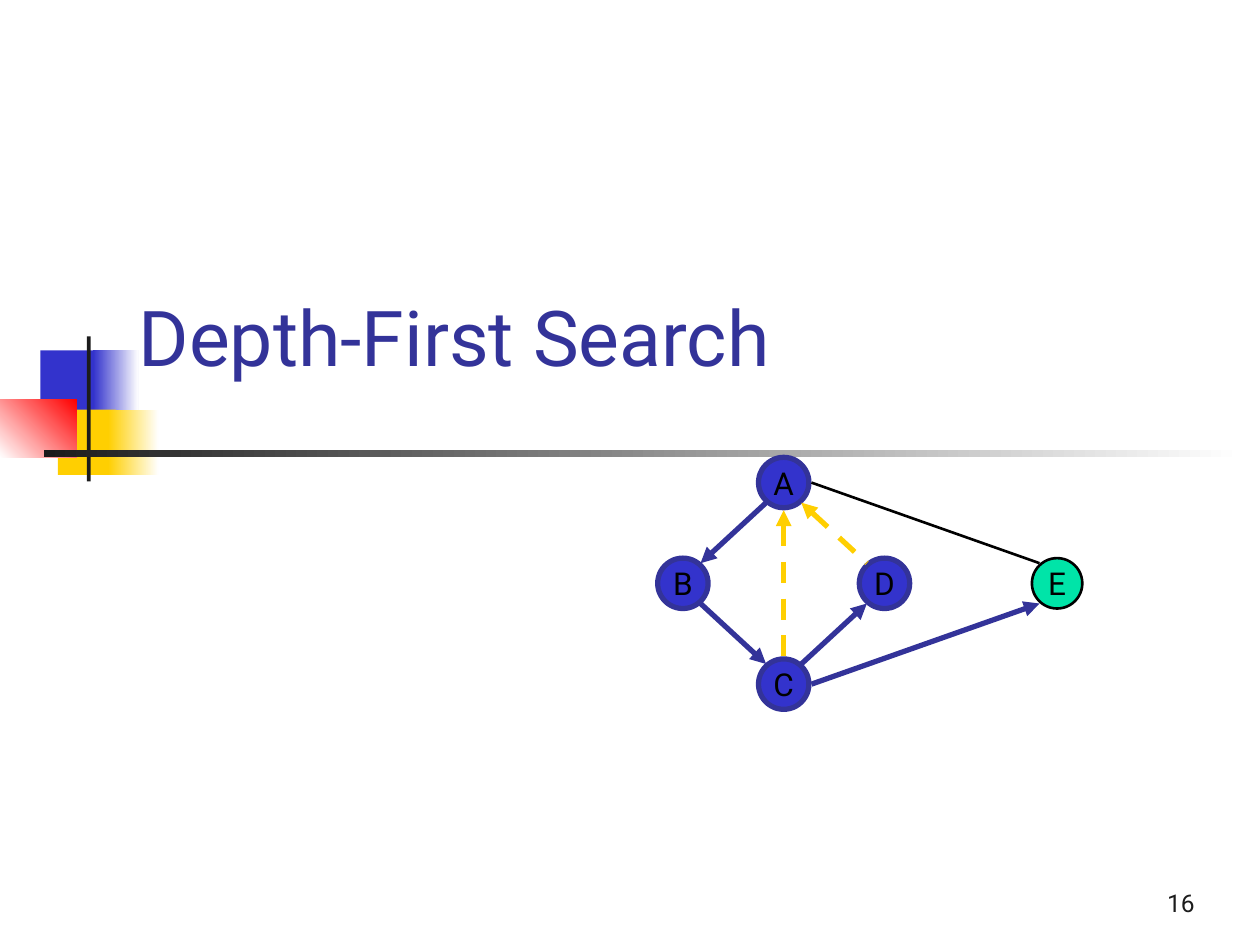
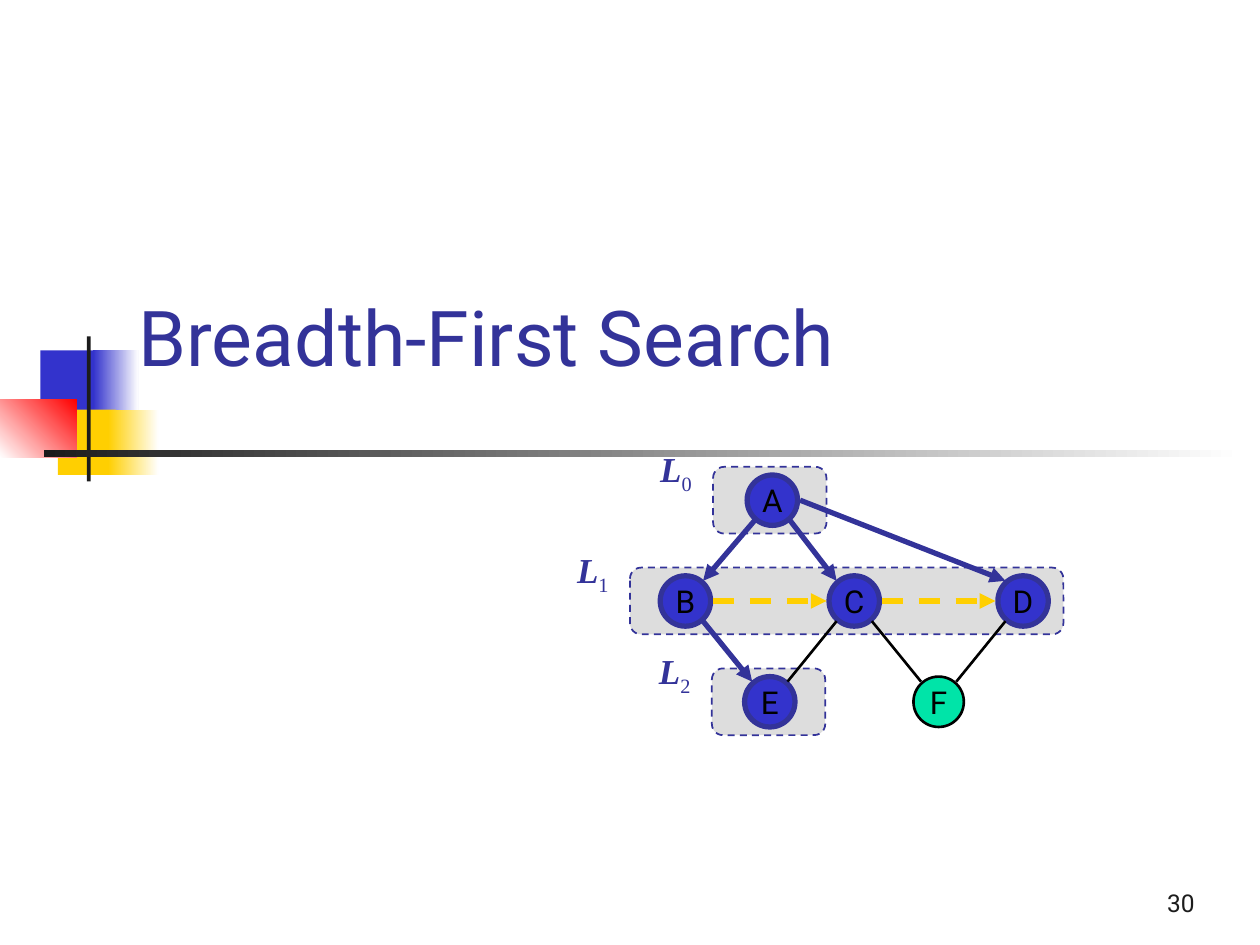
from lxml import etree
from pptx import Presentation
from pptx.dml.color import RGBColor
from pptx.enum import dml, shapes, text
from pptx.oxml import ns
from pptx.util import Inches, Pt

COLORS = {
    "blue": "3333CC", "navy": "333399", "yellow": "FFCF01", "red": "FF0000",
    "white": "FFFFFF", "ink": "1C1C1C", "black": "000000", "green": "00E4A8",
    "gray": "DDDDDD",
}
BODY_FONT = "Roboto"
MATH_FONT = "Times New Roman"

NODE_SIZE = 0.4
ROW_STEP = 0.8
BAND_HEIGHT = 0.53
SITES = {
    "n": (0, -0.22), "e": (0.22, 0), "s": (0, 0.22), "w": (-0.22, 0),
    "nw": (-0.14, -0.16), "ne": (0.14, -0.16),
    "sw": (-0.14, 0.16), "se": (0.14, 0.16),
}
EDGE_STYLES = {
    "discovery": ("navy", 3, False, "tailEnd"),
    "cross": ("yellow", 3, True, "tailEnd"),
    "back": ("yellow", 3, True, "headEnd"),
    "unexplored": ("black", 1.5, False, None),
}


def rgb(name):
    return RGBColor.from_string(COLORS[name])


def set_line(line, color, width, dashed=False):
    line.color.rgb = rgb(color)
    line.width = Pt(width)
    if dashed:
        line.dash_style = dml.MSO_LINE.DASH


def add_run(paragraph, words, size, color, font=BODY_FONT):
    run = paragraph.add_run()
    run.text = words
    run.font.size = Pt(size)
    run.font.name = font
    run.font.color.rgb = rgb(color)
    return run


def add_filled_shape(slide, kind, left, top, width, height, color):
    shape = slide.shapes.add_shape(
        kind, Inches(left), Inches(top), Inches(width), Inches(height))
    shape.shadow.inherit = False
    shape.fill.solid()
    shape.fill.fore_color.rgb = rgb(color)
    shape.line.fill.background()
    return shape


def add_block(slide, left, top, width, height, color, end_color=None, angle=0):
    shape = add_filled_shape(
        slide, shapes.MSO_SHAPE.RECTANGLE, left, top, width, height, color)
    if end_color:
        shape.fill.gradient()
        shape.fill.gradient_angle = angle
        for stop, name in zip(shape.fill.gradient_stops, (color, end_color)):
            stop.color.rgb = rgb(name)


def add_ornament(slide, left, top):
    add_block(slide, left + 0.32, top + 0.11, 0.48, 0.52, "blue")
    add_block(slide, left + 0.74, top + 0.11, 0.36, 0.52, "blue", "white")
    add_block(slide, left + 0.46, top + 0.58, 0.46, 0.52, "yellow")
    add_block(slide, left + 0.86, top + 0.58, 0.4, 0.52, "yellow", "white")
    add_block(slide, left, top + 0.5, 0.61, 0.46, "white", "red", 45)
    add_block(slide, left + 0.69, top, 0.03, 1.15, "ink")
    add_block(slide, left + 0.35, top + 0.9, 9.51, 0.06, "ink", "white")


def add_text_box(slide, left, top, width, height, alignment):
    box = slide.shapes.add_textbox(
        Inches(left), Inches(top), Inches(width), Inches(height))
    box.text_frame.word_wrap = True
    paragraph = box.text_frame.paragraphs[0]
    paragraph.alignment = alignment
    return box.text_frame, paragraph


def add_section_slide(presentation, title, number):
    slide = presentation.slides.add_slide(presentation.slide_layouts[5])
    add_ornament(slide, 0, 2.67)
    heading = slide.shapes.title
    heading.left, heading.top = Inches(1), Inches(1.83)
    heading.width, heading.height = Inches(8.5), Inches(1.25)
    frame = heading.text_frame
    frame.vertical_anchor = text.MSO_ANCHOR.BOTTOM
    frame.auto_size = text.MSO_AUTO_SIZE.NONE
    frame.paragraphs[0].alignment = text.PP_ALIGN.LEFT
    add_run(frame.paragraphs[0], title, 44, "navy")
    frame, paragraph = add_text_box(
        slide, 7.5, 6.83, 2.08, 0.5, text.PP_ALIGN.RIGHT)
    frame.vertical_anchor = text.MSO_ANCHOR.BOTTOM
    add_run(paragraph, str(number), 14, "ink")
    return slide


def add_node(slide, x, y, name, visited):
    shape = add_filled_shape(
        slide, shapes.MSO_SHAPE.OVAL, x - NODE_SIZE / 2, y - NODE_SIZE / 2,
        NODE_SIZE, NODE_SIZE, "blue" if visited else "green")
    if visited:
        set_line(shape.line, "navy", 3)
    else:
        set_line(shape.line, "black", 1.5)
    frame = shape.text_frame
    frame.word_wrap = False
    frame.vertical_anchor = text.MSO_ANCHOR.MIDDLE
    frame.paragraphs[0].alignment = text.PP_ALIGN.CENTER
    add_run(frame.paragraphs[0], name, 18, "black")


def add_edge(slide, start, end, style):
    color, width, dashed, arrow = EDGE_STYLES[style]
    connector = slide.shapes.add_connector(
        shapes.MSO_CONNECTOR.STRAIGHT,
        *(Inches(value) for value in (*start, *end)))
    set_line(connector.line, color, width, dashed)
    properties = connector._element.spPr
    if arrow:
        outline = properties.find(ns.qn("a:ln"))
        etree.SubElement(outline, ns.qn(f"a:{arrow}"), type="triangle")
    etree.SubElement(properties, ns.qn("a:effectLst"))


def add_graph(slide, left, top, nodes, edges, unvisited):
    centers = {name: (left + x, top + row * ROW_STEP)
               for name, (x, row) in nodes.items()}
    for name, (x, y) in centers.items():
        add_node(slide, x, y, name, name not in unvisited)
    for route, style in edges:
        start, end = (
            tuple(center + shift
                  for center, shift in zip(centers[name], SITES[site]))
            for name, site in (stop.split(".") for stop in route.split()))
        add_edge(slide, start, end, style)


def add_levels(slide, left, top, bands):
    for level, (offset, width) in enumerate(bands):
        band_left = left + offset
        band_top = top + level * ROW_STEP - BAND_HEIGHT / 2
        band = add_filled_shape(
            slide, shapes.MSO_SHAPE.ROUNDED_RECTANGLE, band_left, band_top,
            width, BAND_HEIGHT, "gray")
        set_line(band.line, "navy", 1, True)
        paragraph = add_text_box(
            slide, band_left - 0.55, band_top - 0.2, 0.51, 0.48,
            text.PP_ALIGN.CENTER)[1]
        letter = add_run(paragraph, "L", 20, "navy", MATH_FONT)
        letter.font.bold = letter.font.italic = True
        index = add_run(paragraph, str(level), 20, "navy", MATH_FONT)
        index._r.get_or_add_rPr().set("baseline", "-25000")


def add_depth_first_slide(presentation):
    slide = add_section_slide(presentation, "Depth-First Search", 16)
    nodes = {"A": (1, 0), "B": (0.2, 1), "C": (1, 2), "D": (1.8, 1),
             "E": (3.17, 1)}
    edges = [
        ("A.sw B.ne", "discovery"), ("B.se C.nw", "discovery"),
        ("C.ne D.sw", "discovery"), ("C.e E.sw", "discovery"),
        ("A.se D.nw", "back"), ("A.s C.n", "back"),
        ("E.nw A.e", "unexplored"),
    ]
    add_graph(slide, 5.22, 3.83, nodes, edges, "E")


def add_breadth_first_slide(presentation):
    slide = add_section_slide(presentation, "Breadth-First Search", 30)
    left, top = 5, 3.97
    nodes = {"A": (1.13, 0), "B": (0.44, 1), "C": (1.78, 1), "D": (3.12, 1),
             "E": (1.11, 2), "F": (2.45, 2)}
    edges = [
        ("A.sw B.ne", "discovery"), ("A.se C.nw", "discovery"),
        ("A.e D.nw", "discovery"), ("B.se E.nw", "discovery"),
        ("B.e C.w", "cross"), ("C.e D.w", "cross"),
        ("E.ne C.sw", "unexplored"), ("C.se F.nw", "unexplored"),
        ("F.ne D.sw", "unexplored"),
    ]
    add_levels(slide, left, top, [(0.66, 0.9), (0, 3.44), (0.65, 0.9)])
    add_graph(slide, left, top, nodes, edges, "F")


def main():
    presentation = Presentation()
    presentation.slide_width = Inches(10)
    presentation.slide_height = Inches(7.5)
    add_depth_first_slide(presentation)
    add_breadth_first_slide(presentation)
    presentation.save("out.pptx")


if __name__ == "__main__":
    main()
